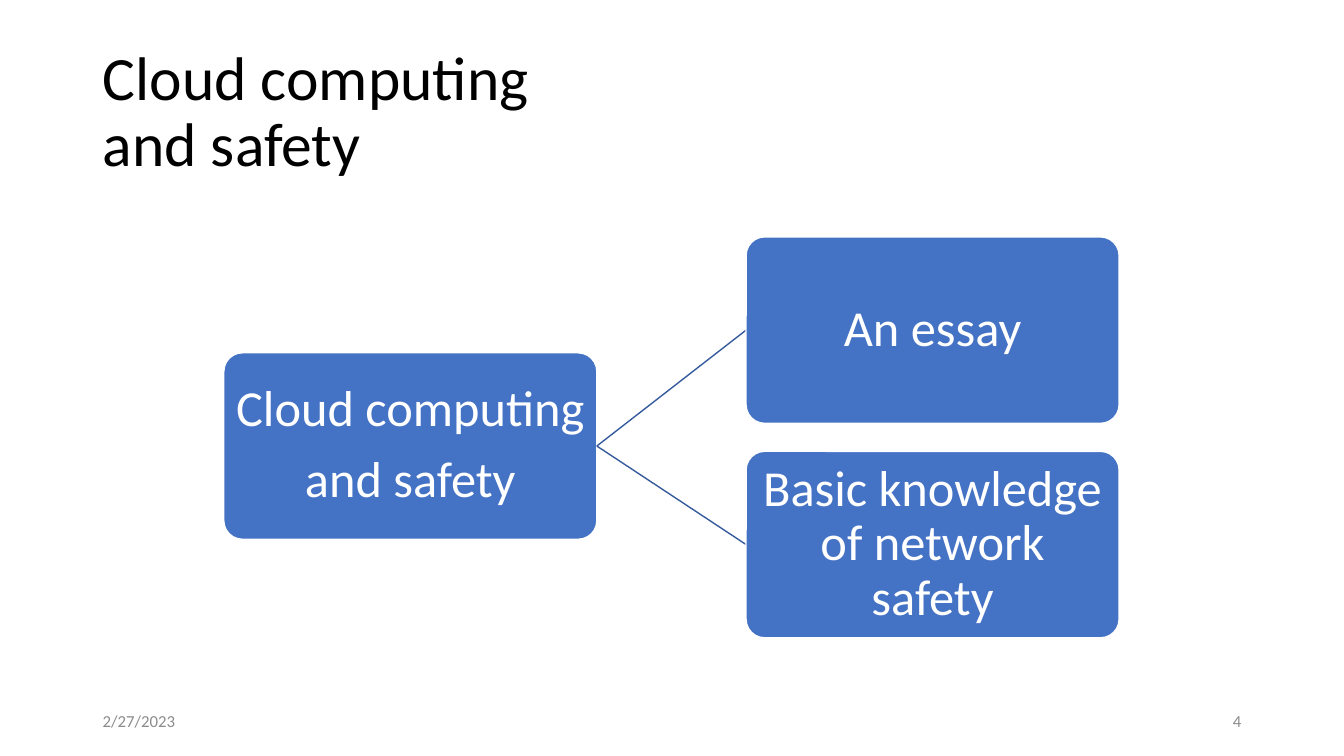
from dataclasses import dataclass

from lxml.etree import SubElement
from pptx import Presentation
from pptx.dml.color import RGBColor
from pptx.enum.shapes import MSO_CONNECTOR as Connector, MSO_SHAPE as Shape
from pptx.enum.text import MSO_ANCHOR as Anchor, MSO_AUTO_SIZE as AutoSize, PP_ALIGN as Align
from pptx.oxml.ns import qn
from pptx.util import Inches, Pt

COLORS = {"title": "000000", "box": "4472C4", "white": "FFFFFF",
          "link": "365B9D", "footer": "8C8C8C"}
FONT = "Calibri"
WIDTH, HEIGHT = 13.33, 7.5

# Grid: two columns of boxes; the right column has two rows, in half-size steps
BOX_WIDTH, BOX_HEIGHT = 3.7, 1.85
COLUMNS = (2.22, 2.22 + 1.4 * BOX_WIDTH)
TOP, ROW_STEP = 2.35, 1.15 * BOX_HEIGHT
MARGIN = 0.92


@dataclass(frozen=True)
class Node:
    lines: tuple[str, ...]
    column: int
    top: float

    @property
    def left(self) -> float:
        return COLUMNS[self.column]

    @property
    def middle(self) -> float:
        return self.top + BOX_HEIGHT / 2


@dataclass(frozen=True)
class FooterItem:
    text: str
    left: float
    align: Align


ROOT = Node(("Cloud computing", "and safety"), 0, 3.5)
CHILDREN = [Node((text,), 1, TOP + row * ROW_STEP)
            for row, text in enumerate(("An essay", "Basic knowledge of network safety"))]
FOOTER_WIDTH = 3
FOOTERS = [FooterItem("2/27/2023", MARGIN, Align.LEFT),
           FooterItem("4", WIDTH - MARGIN - FOOTER_WIDTH, Align.RIGHT)]


def color(name: str) -> RGBColor:
    return RGBColor.from_string(COLORS[name])


def add_span(para, text: str, size: float, color_name: str) -> None:
    span = para.add_run()
    span.text = text
    span.font.name = FONT
    span.font.size = Pt(size)
    span.font.color.rgb = color(color_name)


def draw_node(page, node: Node) -> None:
    box = page.shapes.add_shape(Shape.ROUNDED_RECTANGLE, Inches(node.left), Inches(node.top),
                                Inches(BOX_WIDTH), Inches(BOX_HEIGHT))
    box.adjustments[0] = 0.1
    box.shadow.inherit = False
    box.fill.solid()
    box.fill.fore_color.rgb = color("box")
    box.line.color.rgb = color("white")
    box.line.width = Pt(1)
    frame = box.text_frame
    frame.word_wrap = True
    frame.vertical_anchor = Anchor.MIDDLE
    frame.margin_left = frame.margin_right = Inches(0.03)
    frame.margin_top = frame.margin_bottom = Inches(0.03)
    for index, line in enumerate(node.lines):
        para = frame.add_paragraph() if index else frame.paragraphs[0]
        para.alignment = Align.CENTER
        para.line_spacing = 0.9
        para.space_after = Pt(12)
        add_span(para, line, 36, "white")


def draw_link(page, start: Node, end: Node) -> None:
    link = page.shapes.add_connector(
        Connector.STRAIGHT, Inches(start.left + BOX_WIDTH), Inches(start.middle),
        Inches(end.left), Inches(end.middle))
    link.line.color.rgb = color("link")
    link.line.width = Pt(1)
    SubElement(link._element.spPr, qn("a:effectLst"))


def draw_footer(page, item: FooterItem) -> None:
    box = page.shapes.add_textbox(Inches(item.left), Inches(6.95),
                                  Inches(FOOTER_WIDTH), Inches(0.4))
    frame = box.text_frame
    frame.word_wrap = True
    frame.vertical_anchor = Anchor.MIDDLE
    para = frame.paragraphs[0]
    para.alignment = item.align
    add_span(para, item.text, 12, "footer")


def draw_title(page, lines: tuple[str, ...]) -> None:
    title = page.shapes.title
    title.left, title.top = Inches(MARGIN), Inches(0.4)
    title.width, title.height = Inches(WIDTH - 2 * MARGIN), Inches(1.45)
    frame = title.text_frame
    frame.word_wrap = True
    frame.auto_size = AutoSize.NONE
    frame.vertical_anchor = Anchor.MIDDLE
    para = frame.paragraphs[0]
    para.alignment = Align.LEFT
    para.line_spacing = 0.9
    for index, line in enumerate(lines):
        if index:
            para.add_line_break()
        add_span(para, line, 44, "title")


deck = Presentation()
deck.slide_width, deck.slide_height = Inches(WIDTH), Inches(HEIGHT)
page = deck.slides.add_slide(deck.slide_layouts[5])
page.background.fill.solid()
page.background.fill.fore_color.rgb = color("white")

# Title
draw_title(page, ROOT.lines)

# Hierarchy
draw_node(page, ROOT)
for child in CHILDREN:
    draw_link(page, ROOT, child)
    draw_node(page, child)

# Footer
for item in FOOTERS:
    draw_footer(page, item)

deck.save("out.pptx")
